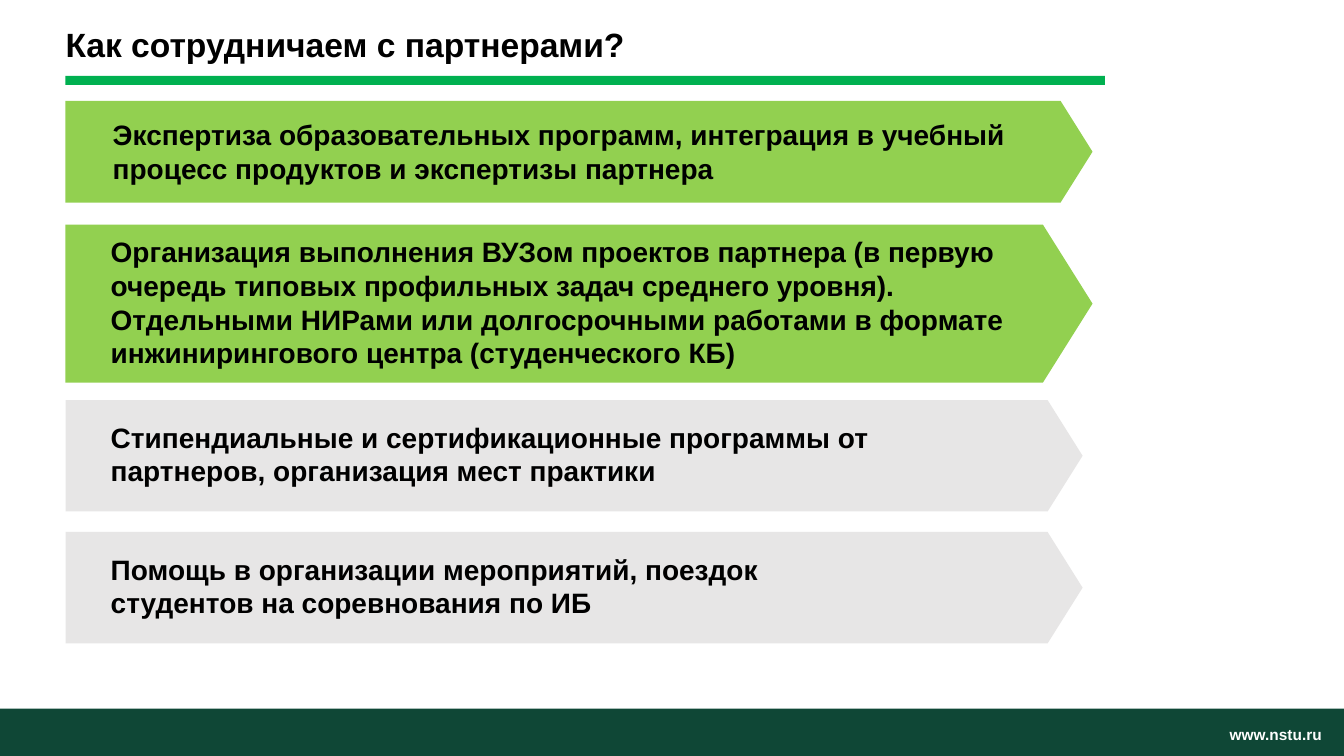
from dataclasses import dataclass

from pptx import Presentation
from pptx import util as u
from pptx.dml.color import RGBColor
from pptx.enum import shapes, text


@dataclass(frozen=True)
class Theme:
    font: str = "Arial"
    ink: str = "000000"
    light: str = "FFFFFF"
    footer: str = "0F4736"
    rule: str = "00B050"
    active: str = "92D050"
    neutral: str = "E7E6E6"
    title_size: float = 24
    body_size: float = 20
    footer_size: float = 11


THEME = Theme()
RECTANGLE = shapes.MSO_SHAPE.RECTANGLE
PENTAGON = shapes.MSO_SHAPE.PENTAGON

DIRECTIONS = [
    ((46.8, 72, 733.6, 72.8), (26.6, 8.6, 666, 55.4), THEME.active,
     "Экспертиза образовательных программ, интеграция в учебный "
     "процесс продуктов и экспертизы партнера"),
    ((46.8, 160.4, 733.6, 113), (25.2, 3.8, 666, 104.4), THEME.active,
     "Организация выполнения ВУЗом проектов партнера (в первую очередь "
     "типовых профильных задач среднего уровня). Отдельными НИРами или "
     "долгосрочными работами в формате инжинирингового центра (студенческого КБ)"),
    ((46.8, 285.8, 726.5, 79.6), (25.2, 10.8, 666, 55.4), THEME.neutral,
     "Стипендиальные и сертификационные программы от партнеров, "
     "организация мест практики"),
    ((46.8, 380, 726.5, 79.6), (25.2, 10.8, 516, 55.4), THEME.neutral,
     "Помощь в организации мероприятий, поездок студентов на соревнования по ИБ"),
]


def points(box):
    return [u.Pt(length) for length in box]


def add_block(slide, kind, box, color):
    shape = slide.shapes.add_shape(kind, *points(box))
    shape.shadow.inherit = False
    shape.fill.solid()
    shape.fill.fore_color.rgb = RGBColor.from_string(color)
    shape.line.fill.background()
    return shape


def write(shape, content, size, color, margins, wrap=True):
    frame = shape.text_frame
    frame.word_wrap = wrap
    frame.auto_size = text.MSO_AUTO_SIZE.NONE
    frame.vertical_anchor = text.MSO_ANCHOR.TOP
    (frame.margin_left, frame.margin_top,
     frame.margin_right, frame.margin_bottom) = points(margins)
    paragraph = frame.paragraphs[0]
    paragraph.alignment = text.PP_ALIGN.LEFT
    run = paragraph.add_run()
    run.text = content
    run.font.name = THEME.font
    run.font.size = u.Pt(size)
    run.font.bold = True
    run.font.color.rgb = RGBColor.from_string(color)


def add_footer(slide, box):
    left, top, width, height = box
    add_block(slide, RECTANGLE, box, THEME.footer)
    address = slide.shapes.add_textbox(
        *points((left + width - 81.6, top + 11.6, 67.6, 11.6)))
    write(address, "www.nstu.ru", THEME.footer_size, THEME.light, (0, 0, 0, 0), wrap=False)


def add_heading(slide, box):
    left, top, width, height = box
    title = slide.shapes.title
    title.left, title.top, title.width, title.height = points(box)
    write(title, "Как сотрудничаем с партнерами?", THEME.title_size, THEME.ink,
          (0, 3.6, 7.2, 3.6))
    add_block(slide, RECTANGLE, (left, top + height + 4.4, 742.4, 6.4), THEME.rule)


def add_direction(slide, box, label_box, color, content):
    left, top, width, height = box
    arrow = add_block(slide, PENTAGON, box, color)
    arrow.adjustments[0] = 0.314
    offset_x, offset_y, label_width, label_height = label_box
    label = slide.shapes.add_textbox(
        *points((left + offset_x, top + offset_y, label_width, label_height)))
    write(label, content, THEME.body_size, THEME.ink, (7.2, 3.6, 7.2, 3.6))


def main():
    presentation = Presentation()
    presentation.slide_width = u.Pt(960)
    presentation.slide_height = u.Pt(540)
    slide = presentation.slides.add_slide(presentation.slide_layouts[5])
    add_footer(slide, (0, 506.2, 960, 33.8))
    for direction in DIRECTIONS:
        add_direction(slide, *direction)
    add_heading(slide, (46.8, 13.8, 904.4, 36))
    presentation.save("out.pptx")


if __name__ == "__main__":
    main()
